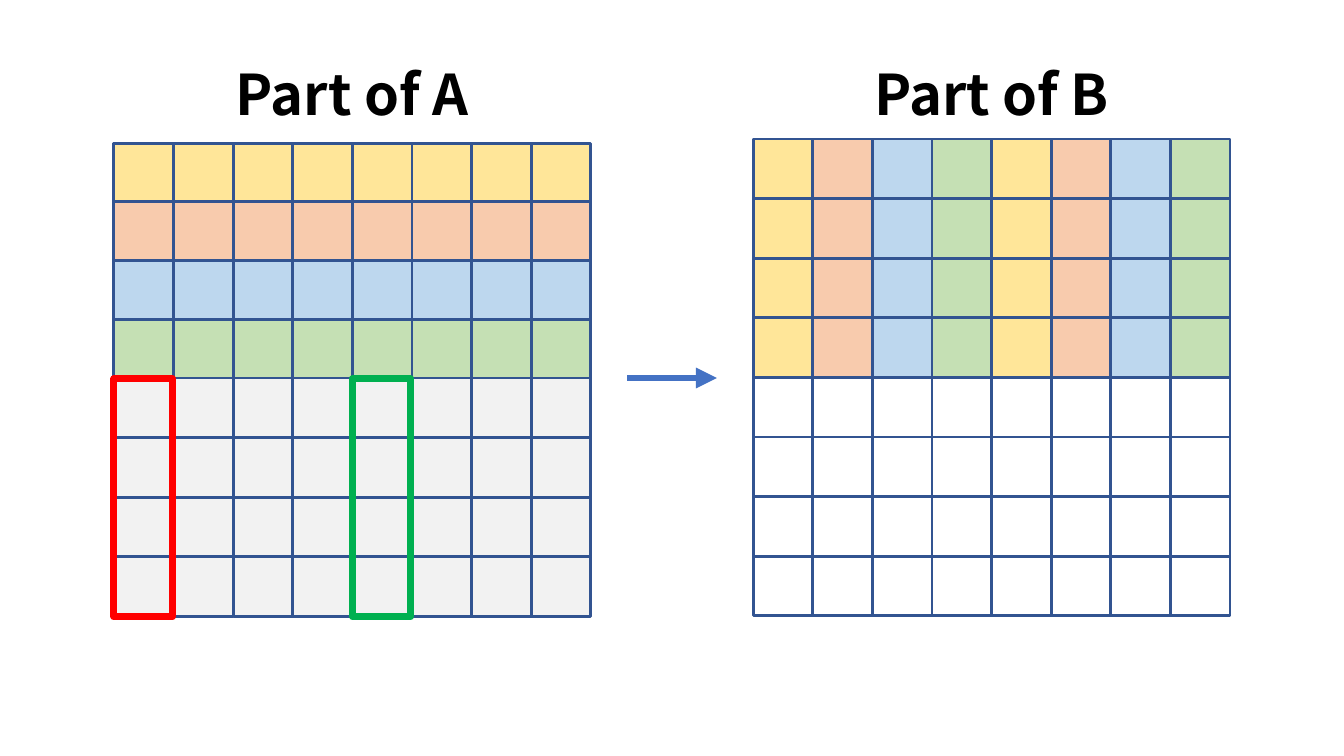
from pptx import Presentation
from pptx.dml.color import RGBColor
from pptx.enum.shapes import MSO_CONNECTOR, MSO_SHAPE
from pptx.enum.text import MSO_AUTO_SIZE, PP_ALIGN
from pptx.oxml.ns import qn
from pptx.util import Inches, Pt
from lxml import etree

RECTANGLE = MSO_SHAPE.RECTANGLE
STRAIGHT = MSO_CONNECTOR.STRAIGHT
CENTER = PP_ALIGN.CENTER
GROW = MSO_AUTO_SIZE.SHAPE_TO_FIT_TEXT

YELLOW = RGBColor(0xFF, 0xE6, 0x99)
ORANGE = RGBColor(0xF8, 0xCB, 0xAD)
BLUE = RGBColor(0xBD, 0xD7, 0xEE)
GREEN = RGBColor(0xC5, 0xE0, 0xB4)
GRAY = RGBColor(0xF2, 0xF2, 0xF2)
WHITE = RGBColor(0xFF, 0xFF, 0xFF)
BLACK = RGBColor(0x00, 0x00, 0x00)
GRID_LINE = RGBColor(0x32, 0x54, 0x91)
ARROW_BLUE = RGBColor(0x44, 0x72, 0xC4)
MARK_RED = RGBColor(0xFF, 0x00, 0x00)
MARK_GREEN = RGBColor(0x00, 0xB0, 0x50)
BANDS = [YELLOW, ORANGE, BLUE, GREEN]

FONT = "Noto Sans CJK SC"
SIZE = 8
HALF = SIZE // 2
MATRIX_WIDTH = 4.73
CELL = MATRIX_WIDTH / SIZE
A_LEFT, A_TOP = 1.13, 1.42
B_LEFT, B_TOP = 7.47, 1.38
MIDDLE = 3.75


def add_box(shapes, left, top, width, height, line_color, line_width, fill=None):
    box = shapes.add_shape(RECTANGLE, Inches(left), Inches(top),
                           Inches(width), Inches(height))
    box.shadow.inherit = False
    if fill is None:
        box.fill.background()
    else:
        box.fill.solid()
        box.fill.fore_color.rgb = fill
    box.line.color.rgb = line_color
    box.line.width = Pt(line_width)


def add_row(shapes, left, top, colors):
    for column, color in enumerate(colors):
        add_box(shapes, left + column * CELL, top, CELL, CELL, GRID_LINE, 2, color)


def add_matrix_a(slide):
    # The upper rows overlap slightly so that the lower half starts at MIDDLE
    upper_pitch = (MIDDLE - A_TOP) / HALF
    tops = [A_TOP + row * upper_pitch for row in range(HALF)]
    tops += [MIDDLE + row * CELL for row in range(HALF)]
    for top, color in zip(tops, BANDS + [GRAY] * HALF):
        row_group = slide.shapes.add_group_shape()
        add_row(row_group.shapes, A_LEFT, top, [color] * SIZE)


def add_matrix_b(slide):
    for row in range(SIZE):
        colors = BANDS * 2 if row < HALF else [WHITE] * SIZE
        add_row(slide.shapes, B_LEFT, B_TOP + row * CELL, colors)


def add_heading(slide, left, text):
    heading = slide.shapes.add_textbox(Inches(left), Inches(0.54),
                                       Inches(MATRIX_WIDTH), Inches(0.77))
    frame = heading.text_frame
    frame.word_wrap = True
    frame.auto_size = GROW
    paragraph = frame.paragraphs[0]
    paragraph.alignment = CENTER
    run = paragraph.add_run()
    run.text = text
    run.font.name = FONT
    run.font.size = Pt(40)
    run.font.bold = True
    run.font.color.rgb = BLACK


def add_arrow(slide, start, end, y):
    arrow = slide.shapes.add_connector(STRAIGHT, Inches(start), Inches(y),
                                       Inches(end), Inches(y))
    arrow.line.color.rgb = ARROW_BLUE
    arrow.line.width = Pt(5)
    etree.SubElement(arrow.line._get_or_add_ln(), qn("a:tailEnd"), type="triangle")
    etree.SubElement(arrow._element.spPr, qn("a:effectLst"))


def main():
    deck = Presentation()
    deck.slide_width = Inches(13.33)
    deck.slide_height = Inches(7.5)
    slide = deck.slides.add_slide(deck.slide_layouts[6])

    # Matrices and the step between them
    add_matrix_a(slide)
    add_matrix_b(slide)
    add_arrow(slide, 6.22, 7.11, MIDDLE)

    # Headings
    add_heading(slide, A_LEFT, "Part of A")
    add_heading(slide, B_LEFT, "Part of B")

    # Marked half-columns of A
    for column, color in ((0, MARK_RED), (HALF, MARK_GREEN)):
        add_box(slide.shapes, A_LEFT + column * CELL, 3.76, 0.58, 2.36, color, 5)

    deck.save("out.pptx")


if __name__ == "__main__":
    main()
